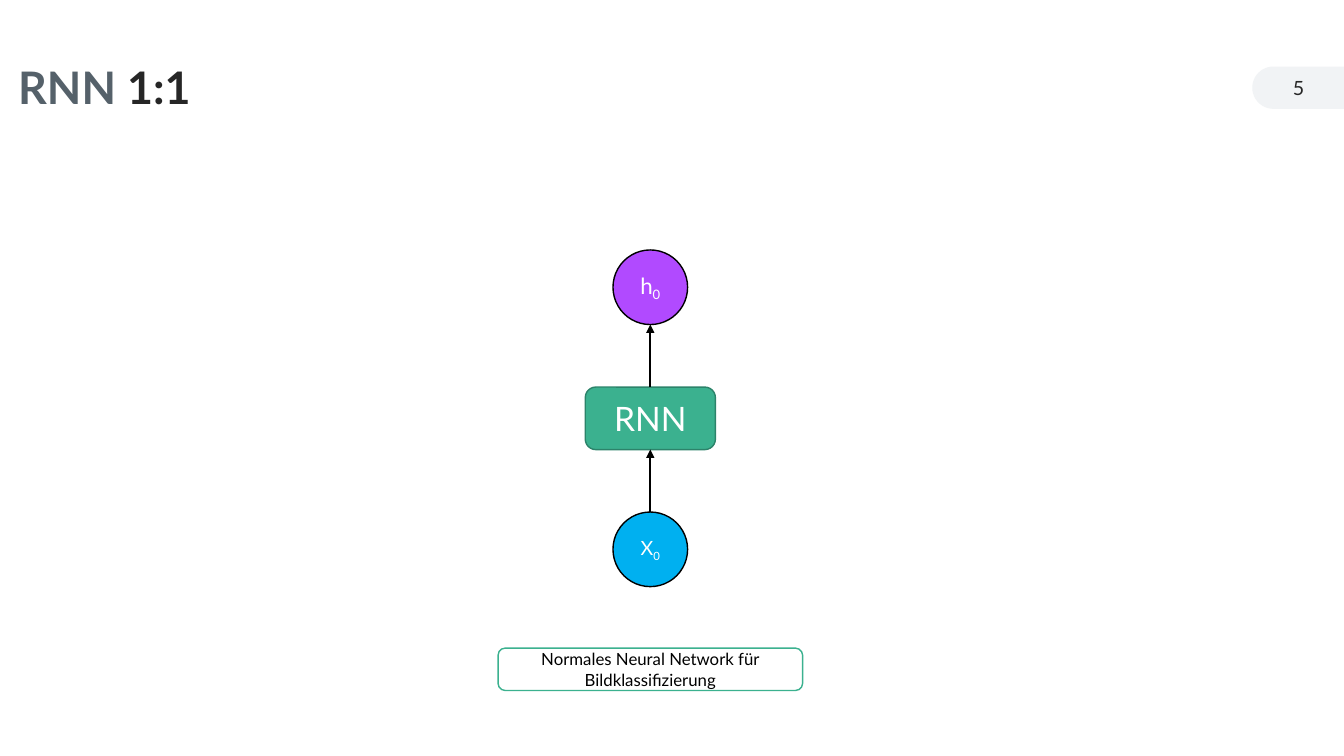
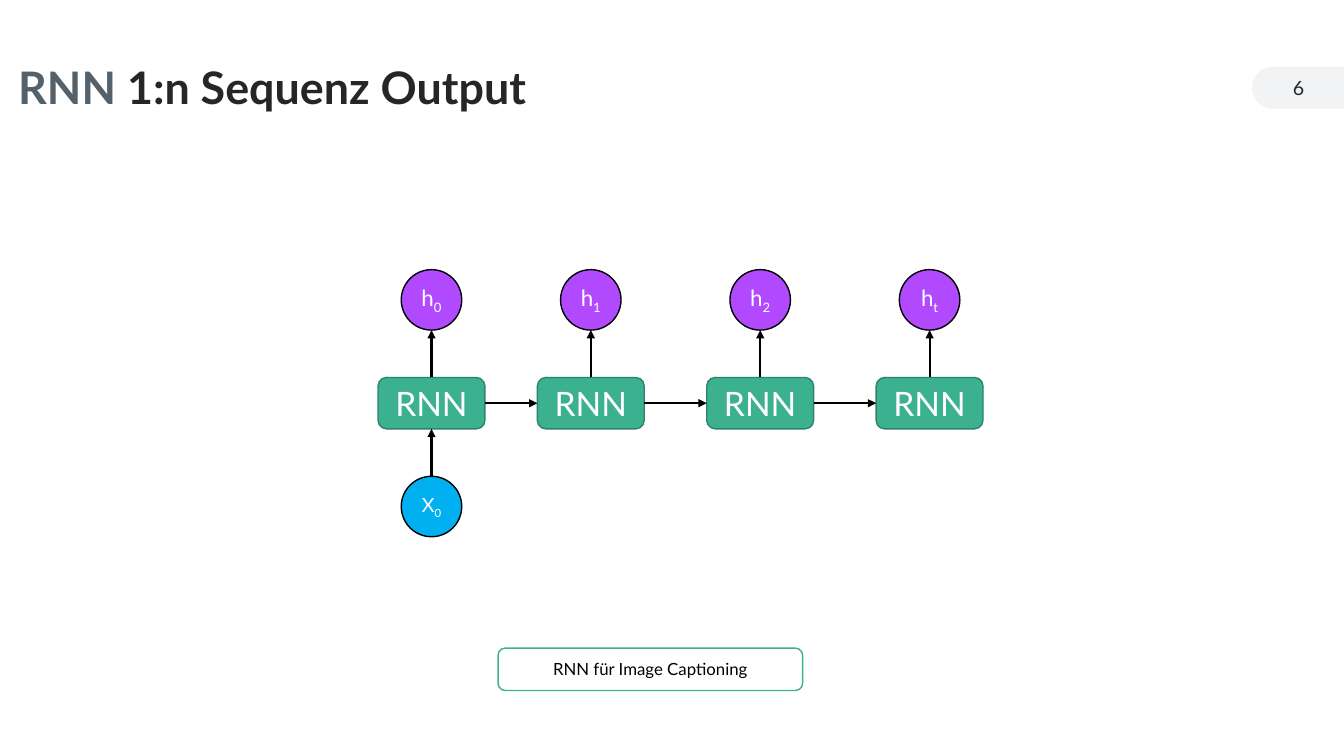
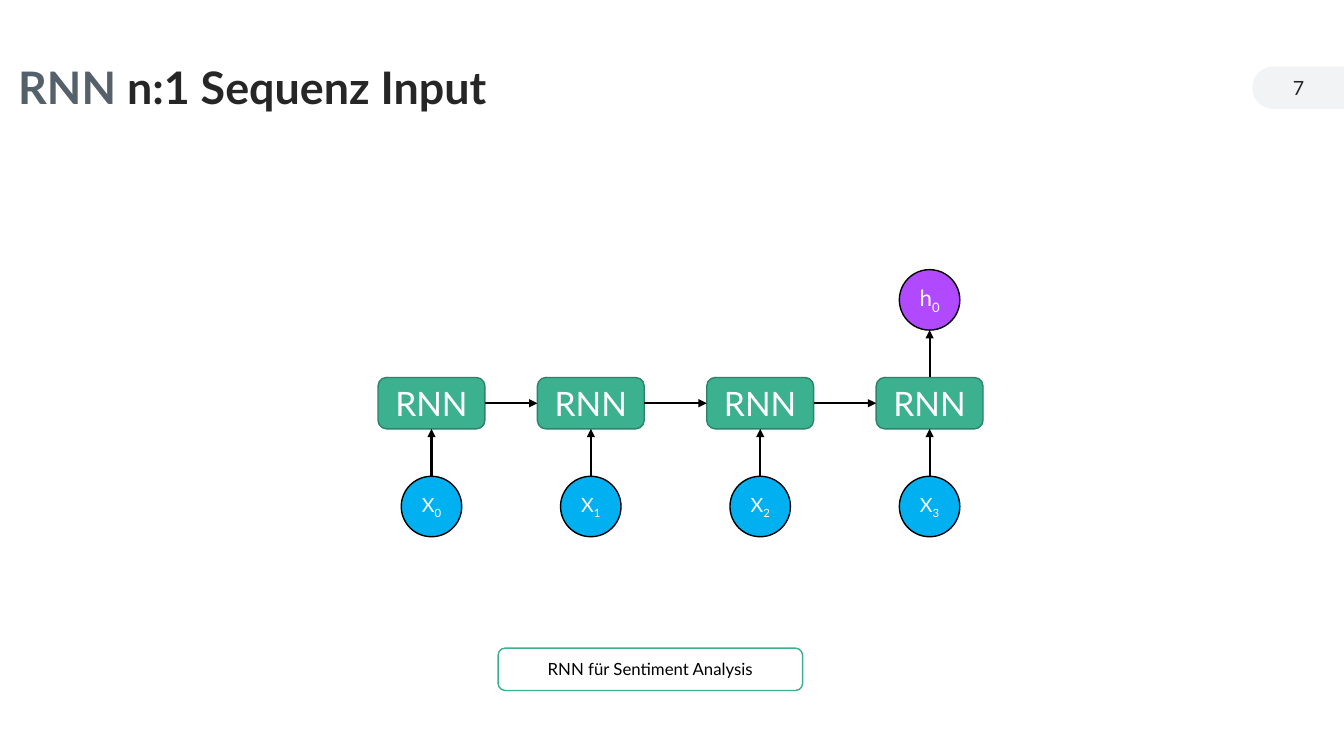
from math import cos, pi, sin

from lxml import etree
from pptx import Presentation
from pptx.dml.color import RGBColor
from pptx.enum.shapes import MSO_CONNECTOR, MSO_SHAPE
from pptx.enum.text import MSO_ANCHOR, PP_ALIGN
from pptx.oxml.ns import qn
from pptx.util import Inches, Pt

ELLIPSE = MSO_SHAPE.OVAL
ROUNDED = MSO_SHAPE.ROUNDED_RECTANGLE
STRAIGHT = MSO_CONNECTOR.STRAIGHT
MIDDLE = MSO_ANCHOR.MIDDLE
CENTER = PP_ALIGN.CENTER
LEFT = PP_ALIGN.LEFT
TOP, LEFT_SIDE, BOTTOM, RIGHT_SIDE = range(4)

BLACK = RGBColor(0x00, 0x00, 0x00)
WHITE = RGBColor(0xFF, 0xFF, 0xFF)
INK = RGBColor(0x26, 0x26, 0x26)
SLATE = RGBColor(0x55, 0x61, 0x6A)
MIST = RGBColor(0xF1, 0xF3, 0xF5)
GREEN = RGBColor(0x3B, 0xB1, 0x8F)
DARK_GREEN = RGBColor(0x2C, 0x83, 0x6A)
BLUE = RGBColor(0x00, 0xB0, 0xF0)
PURPLE = RGBColor(0xB1, 0x4A, 0xFF)

FONT = "Lato"
LARGE = {"circle": 0.74, "width": 1.29, "height": 0.62, "gap": 0.62, "middle": 4.15}
SMALL = {"circle": 0.6, "width": 1.06, "height": 0.51, "gap": 0.47, "middle": 4.0}
COLUMNS = [4.28] + [5.86 + 1.68 * step for step in range(3)]


class Deck:
    def __init__(self):
        self.deck = Presentation()
        self.deck.slide_width = Inches(13.33)
        self.deck.slide_height = Inches(7.5)
        self.page = None

    def add_page(self, number, title, caption):
        self.page = self.deck.slides.add_slide(self.deck.slide_layouts[6])
        self.pill()
        self.text_box((12.42, 0.67, 0.92, 0.4), [(number, {"size": Pt(14)}, INK)], CENTER)
        heading = {"size": Pt(32), "bold": True}
        para = self.text_box((0.18, 0.45, 8.65, 0.88),
                             [("RNN ", heading, SLATE), (title, heading, INK)], LEFT)
        para.line_spacing = 0.9
        box = self.shape(ROUNDED, (4.94, 6.43, 3.02, 0.42), WHITE, GREEN)
        self.put_text(box, [(caption, {"size": Pt(12)}, BLACK)])

    def pill(self):
        radius, center_x, center_y, right = 0.21, 12.63, 0.87, 13.33
        angles = [pi / 2 + pi * step / 24 for step in range(25)]
        arc = [(Inches(center_x + radius * cos(angle)), Inches(center_y + radius * sin(angle)))
               for angle in angles]
        corners = [(Inches(right), Inches(center_y - radius)),
                   (Inches(right), Inches(center_y + radius))]
        builder = self.page.shapes.build_freeform(*arc[0])
        builder.add_line_segments(arc[1:] + corners, close=True)
        pill = builder.convert_to_shape()
        pill.shadow.inherit = False
        pill.fill.solid()
        pill.fill.fore_color.rgb = MIST
        pill.line.fill.background()

    def put_text(self, box, spans, align=CENTER, wrap=True):
        frame = box.text_frame
        frame.word_wrap = wrap
        frame.vertical_anchor = MIDDLE
        para = frame.paragraphs[0]
        para.alignment = align
        for text, style, color in spans:
            span = para.add_run()
            span.text = text
            span.font.color.rgb = color
            for name, value in {"name": FONT, **style}.items():
                setattr(span.font, name, value)
        return para

    def text_box(self, place, spans, align):
        box = self.page.shapes.add_textbox(*map(Inches, place))
        box.text_frame.margin_left = box.text_frame.margin_right = 0
        return self.put_text(box, spans, align)

    def shape(self, kind, place, fill, line):
        shape = self.page.shapes.add_shape(kind, *map(Inches, place))
        shape.shadow.inherit = False
        shape.fill.solid()
        shape.fill.fore_color.rgb = fill
        shape.line.color.rgb = line
        shape.line.width = Pt(1)
        return shape

    def circle(self, center, top, size, letter, index, points, fill):
        circle = self.shape(ELLIPSE, (center - size / 2, top, size, size), fill, BLACK)
        style = {"size": Pt(points)}
        para = self.put_text(circle, [(letter, style, WHITE), (index, style, WHITE)], wrap=False)
        para.runs[1].font._element.set("baseline", "-25000")
        return circle

    def arrow(self, start, start_side, end, end_side):
        arrow = self.page.shapes.add_connector(STRAIGHT, 0, 0, 0, 0)
        arrow.begin_connect(start, start_side)
        if end.auto_shape_type == ELLIPSE:
            arrow.end_x = end.left + end.width // 2
            arrow.end_y = end.top + end.height
        else:
            arrow.end_connect(end, end_side)
        arrow.line.color.rgb = BLACK
        arrow.line.width = Pt(1.5)
        properties = arrow._element.spPr
        etree.SubElement(properties.find(qn("a:ln")), qn("a:tailEnd"), type="triangle")
        etree.SubElement(properties, qn("a:effectLst"))

    def cell(self, center, size, input_index=None, output_index=None):
        width, height, gap = size["width"], size["height"], size["gap"]
        top = size["middle"] - height / 2
        box = self.shape(ROUNDED, (center - width / 2, top, width, height), GREEN, DARK_GREEN)
        self.put_text(box, [("RNN", {"size": Pt(24)}, WHITE)], wrap=False)
        if input_index:
            source = self.circle(center, top + height + gap, size["circle"],
                                 "X", input_index, 14, BLUE)
            self.arrow(source, TOP, box, BOTTOM)
        if output_index:
            target = self.circle(center, top - gap - size["circle"], size["circle"],
                                 "h", output_index, 16, PURPLE)
            self.arrow(box, TOP, target, BOTTOM)
        return box

    def chain(self, inputs, outputs):
        boxes = [self.cell(center, SMALL, *indices)
                 for center, *indices in zip(COLUMNS, inputs, outputs)]
        for before, after in zip(boxes, boxes[1:]):
            self.arrow(before, RIGHT_SIDE, after, LEFT_SIDE)


def main():
    deck = Deck()
    deck.add_page("5", "1:1", "Normales Neural Network für Bildklassifizierung")
    deck.cell(6.45, LARGE, "0", "0")
    deck.add_page("6", "1:n Sequenz Output", "RNN für Image Captioning")
    deck.chain(["0", None, None, None], ["0", "1", "2", "t"])
    deck.add_page("7", "n:1 Sequenz Input", "RNN für Sentiment Analysis")
    deck.chain(["0", "1", "2", "3"], [None, None, None, "0"])
    deck.deck.save("out.pptx")


if __name__ == "__main__":
    main()
